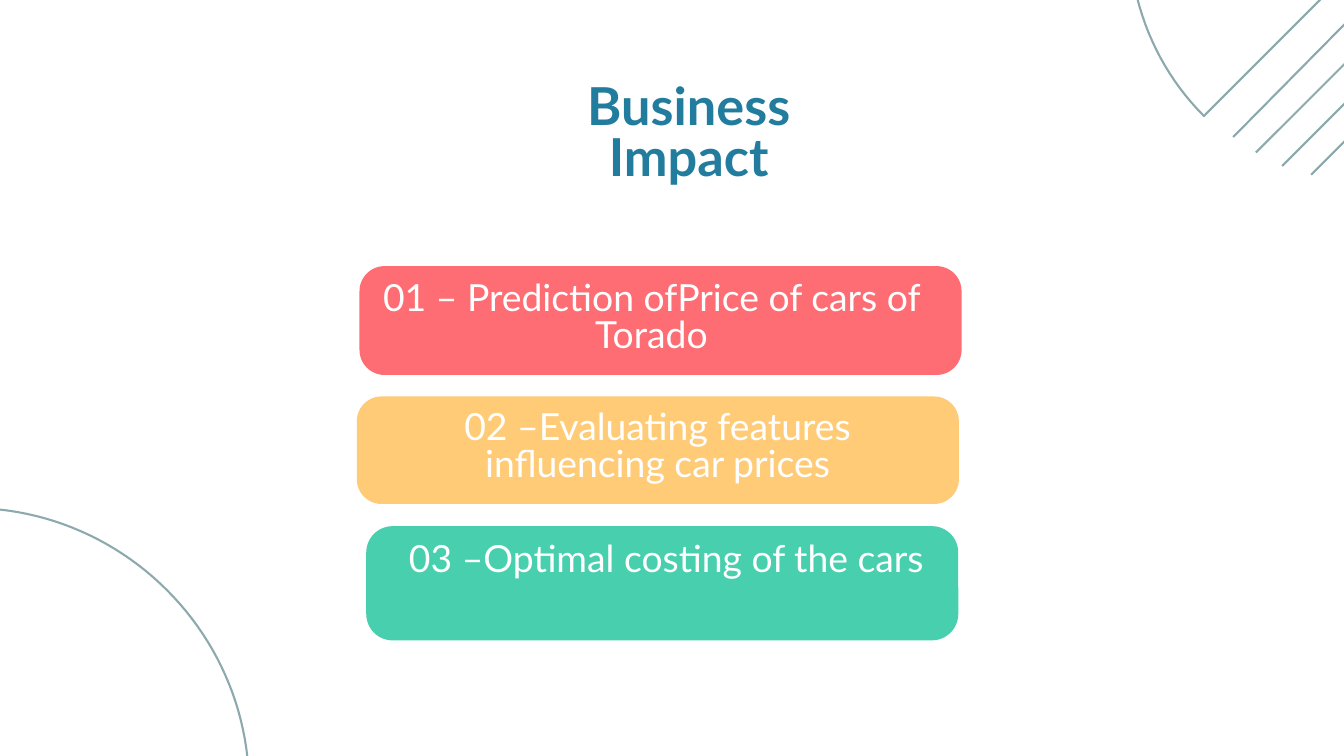
from dataclasses import dataclass
from math import cos, pi, sin

from lxml.etree import SubElement
from pptx import Presentation
from pptx.dml.color import RGBColor
from pptx.enum.shapes import MSO_CONNECTOR, MSO_SHAPE
from pptx.enum.text import MSO_ANCHOR, MSO_AUTO_SIZE, PP_ALIGN
from pptx.oxml.ns import qn
from pptx.slide import Slide
from pptx.util import Inches, Pt

COLORS = {
    "title": "227C9D",
    "outline": "8CA9AD",
    "coral": "FE6D73",
    "amber": "FFCB77",
    "green": "48CFAE",
    "white": "FFFFFF",
}

CARDS = [
    ("coral", (5.35, 3.96, 8.96, 1.62), (5.66, 4.19, 8.07, 1.12),
     "01 – Prediction ofPrice of cars of Torado"),
    ("amber", (5.31, 5.9, 8.96, 1.6), (5.87, 6.11, 7.83, 1.12),
     "02 –Evaluating features influencing car prices"),
    ("green", (5.45, 7.83, 8.81, 1.7), (5.89, 8.08, 8.05, 1.12),
     "03 –Optimal costing of the cars"),
]

DOMES = [(-2.95, 8.21, 45), (15.35, -4.47, 315)]

STRIPES = [
    (18.35, 2.04, 23.96, -3.64),
    (18.69, 2.27, 24.2, -3.24),
    (19.08, 2.47, 24.41, -2.86),
    (19.51, 2.6, 24.64, -2.53),
]


def color(name):
    """Return the named palette colour."""
    return RGBColor.from_string(COLORS[name])


@dataclass
class SlideBuilder:
    """Draws styled elements on the current slide."""

    slide: Slide
    font: str = "Lato"
    line_width: float = 2.25

    def place(self, shape, box):
        """Move and size a shape to a box in inches."""
        for name, value in zip(("left", "top", "width", "height"), box):
            setattr(shape, name, Inches(value))

    def fill_text(self, shape, text, size, spacing, color_name, bold=False):
        """Fill a shape with one centred paragraph."""
        frame = shape.text_frame
        frame_format = {
            "margin_left": 0, "margin_right": 0, "margin_top": 0, "margin_bottom": 0,
            "word_wrap": True, "vertical_anchor": MSO_ANCHOR.TOP,
            "auto_size": MSO_AUTO_SIZE.SHAPE_TO_FIT_TEXT,
        }
        for name, value in frame_format.items():
            setattr(frame, name, value)
        paragraph = frame.paragraphs[0]
        paragraph_format = {
            "alignment": PP_ALIGN.CENTER, "line_spacing": Pt(spacing),
            "space_before": Pt(0), "space_after": Pt(0),
        }
        for name, value in paragraph_format.items():
            setattr(paragraph, name, value)
        run = paragraph.add_run()
        run.text = text
        for name, value in {"name": self.font, "size": Pt(size), "bold": bold}.items():
            setattr(run.font, name, value)
        run.font.color.rgb = color(color_name)

    def title(self, text, box):
        """Format the title placeholder."""
        shape = self.slide.shapes.title
        self.place(shape, box)
        self.fill_text(shape, text, 56, 55.4, "title", bold=True)

    def text(self, text, box):
        """Add a text box."""
        shape = self.slide.shapes.add_textbox(*map(Inches, box))
        self.fill_text(shape, text, 40, 40, "white")

    def card(self, color_name, box):
        """Add a rounded card without an outline."""
        shape = self.slide.shapes.add_shape(MSO_SHAPE.ROUNDED_RECTANGLE, *map(Inches, box))
        shape.adjustments[0] = 0.23
        shape.shadow.inherit = False
        shape.fill.solid()
        shape.fill.fore_color.rgb = color(color_name)
        shape.line.fill.background()

    def outline(self, shape):
        """Apply the decorative line style."""
        shape.line.color.rgb = color("outline")
        shape.line.width = Pt(self.line_width)

    def dome(self, left, top, rotation, width=8.11, height=3.9, steps=90):
        """Add a rotated half ellipse outline."""
        points = [
            (Inches(left + width / 2 * (1 - cos(pi * step / steps))),
             Inches(top + height * (1 - sin(pi * step / steps))))
            for step in range(steps + 1)
        ]
        builder = self.slide.shapes.build_freeform(*points[0])
        builder.add_line_segments(points[1:], close=True)
        shape = builder.convert_to_shape()
        shape.rotation = rotation
        shape.shadow.inherit = False
        shape.fill.background()
        self.outline(shape)

    def stripe(self, ends):
        """Add a straight decorative line."""
        connector = self.slide.shapes.add_connector(MSO_CONNECTOR.STRAIGHT, *map(Inches, ends))
        self.outline(connector)
        SubElement(connector._element.spPr, qn("a:effectLst"))


def main():
    """Build and save the slide."""
    presentation = Presentation()
    presentation.slide_width = Inches(20)
    presentation.slide_height = Inches(11.25)
    slide = presentation.slides.add_slide(presentation.slide_layouts[5])
    builder = SlideBuilder(slide)
    builder.title("Business Impact", (7.48, 1.25, 5.54, 0.79))
    for dome in DOMES:
        builder.dome(*dome)
    for color_name, card_box, text_box, text in CARDS:
        builder.card(color_name, card_box)
        builder.text(text, text_box)
    for ends in STRIPES:
        builder.stripe(ends)
    presentation.save("out.pptx")


if __name__ == "__main__":
    main()
